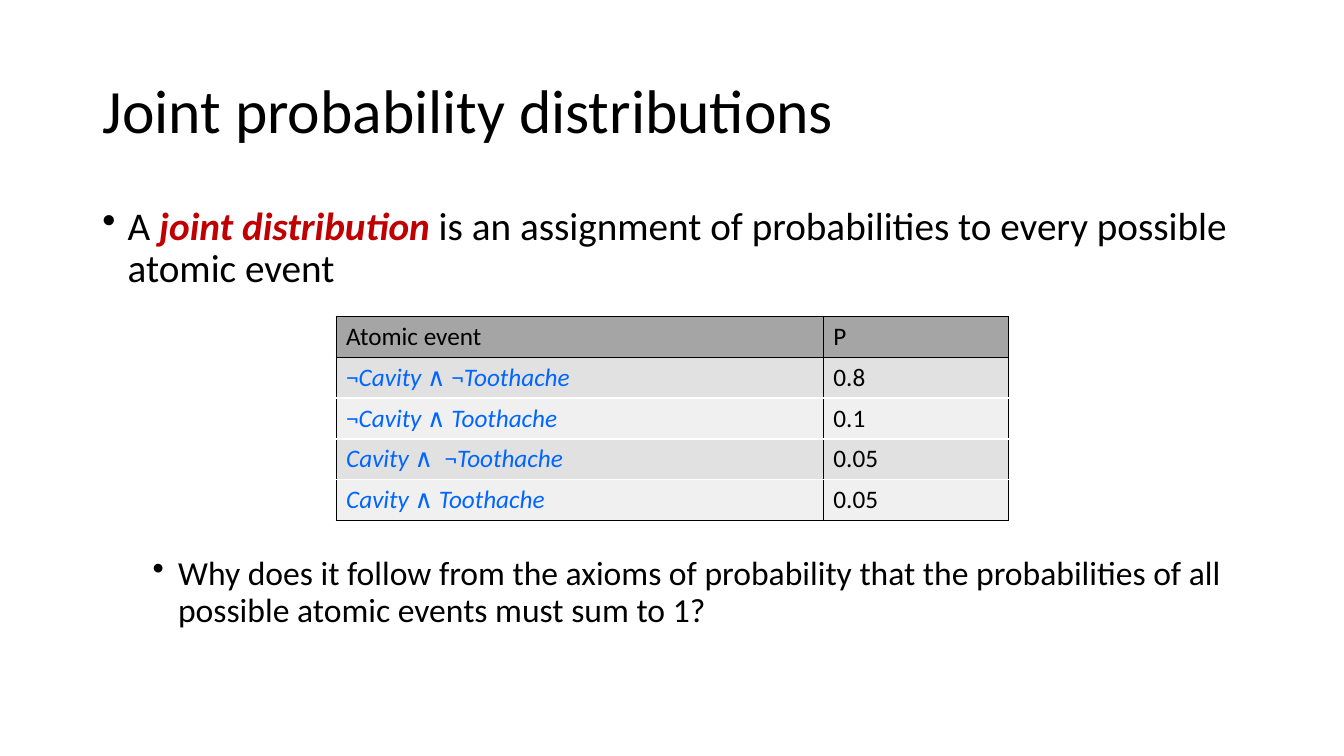
from dataclasses import dataclass
from itertools import groupby

from lxml import etree
from pptx import Presentation
from pptx.dml.color import RGBColor
from pptx.enum import text
from pptx.oxml import ns
from pptx.util import Cm, Pt


@dataclass(frozen=True)
class Theme:
    font: str = "Calibri"
    ink: str = "000000"
    term: str = "C00000"
    event: str = "0066FF"
    rule: str = "FFFFFF"
    header: str = "A5A5A5"
    bands: tuple = ("E1E1E1", "F0F0F0")
    title_size: int = 44
    body_size: int = 28
    sub_size: int = 24
    table_size: int = 18
    line_spacing: float = 0.9


class SlideBuilder:
    def __init__(self, deck, theme):
        self.theme = theme
        self.slide = deck.slides.add_slide(deck.slide_layouts[5])

    def set_font(self, target, size, color):
        target.font.name = self.theme.font
        target.font.size = Pt(size)
        target.font.color.rgb = RGBColor.from_string(color)

    def title(self, wording, left, top, width, height):
        heading = self.slide.shapes.title
        heading.left, heading.top = Cm(left), Cm(top)
        heading.width, heading.height = Cm(width), Cm(height)
        frame = heading.text_frame
        frame.text = wording
        frame.auto_size = text.MSO_AUTO_SIZE.NONE
        frame.vertical_anchor = text.MSO_ANCHOR.MIDDLE
        line = frame.paragraphs[0]
        line.alignment = text.PP_ALIGN.LEFT
        line.line_spacing = self.theme.line_spacing
        self.set_font(line, self.theme.title_size, self.theme.ink)

    def body(self, left, top, width, height):
        frame = self.slide.shapes.add_textbox(
            Cm(left), Cm(top), Cm(width), Cm(height)).text_frame
        frame.word_wrap = True
        return frame

    def bullet(self, point, runs, size, indent, space_before=0):
        """Fill a paragraph with (wording, is_term) runs; terms are stressed."""
        point.line_spacing = self.theme.line_spacing
        point.space_before = Pt(space_before)
        self.set_font(point, size, self.theme.ink)
        props = point._p.get_or_add_pPr()
        props.set("marL", str(Cm(indent)))
        props.set("indent", str(-Cm(0.64)))
        props.insert_element_before(
            props.makeelement(ns.qn("a:buChar"), {"char": "•"}), "a:defRPr")
        for wording, is_term in runs:
            run = point.add_run()
            run.text = wording
            if is_term:
                run.font.bold = run.font.italic = True
                run.font.color.rgb = RGBColor.from_string(self.theme.term)

    def borders(self, cell, top, bottom):
        sides = {"lnL": self.theme.ink, "lnR": self.theme.ink,
                 "lnT": top, "lnB": bottom}
        props = cell._tc.get_or_add_tcPr()
        for side, color in sides.items():
            line = etree.SubElement(props, ns.qn(f"a:{side}"), w=str(Pt(1)))
            fill = etree.SubElement(line, ns.qn("a:solidFill"))
            etree.SubElement(fill, ns.qn("a:srgbClr"), val=color)

    def event_table(self, rows, left, top, widths, row_height):
        """Draw a header and banded rows; event names are italic, symbols upright."""
        theme = self.theme
        table = self.slide.shapes.add_table(
            len(rows), len(widths), Cm(left), Cm(top),
            Cm(sum(widths)), Cm(row_height * len(rows))).table
        for column, width in zip(table.columns, widths):
            column.width = Cm(width)
        for r, row in enumerate(rows):
            table.rows[r].height = Cm(row_height)
            for c, wording in enumerate(row):
                cell = table.cell(r, c)
                self.borders(cell,
                             top=theme.ink if r < 2 else theme.rule,
                             bottom=theme.ink if r in (0, len(rows) - 1) else theme.rule)
                cell.fill.solid()
                cell.fill.fore_color.rgb = RGBColor.from_string(
                    theme.bands[(r - 1) % 2] if r else theme.header)
                is_event = r > 0 and c == 0
                line = cell.text_frame.paragraphs[0]
                self.set_font(line, theme.table_size,
                              theme.event if is_event else theme.ink)
                line.font.bold = False
                if not is_event:
                    line.add_run().text = wording
                    continue
                for is_name, letters in groupby(wording, str.isalpha):
                    run = line.add_run()
                    run.text = "".join(letters)
                    run.font.italic = is_name


def main():
    deck = Presentation()
    deck.slide_width, deck.slide_height = Cm(33.87), Cm(19.05)
    theme = Theme()
    page = SlideBuilder(deck, theme)

    page.title("Joint probability distributions", 2.33, 1.01, 29.21, 3.68)

    points = page.body(2.33, 5.07, 29.21, 12.09)
    page.bullet(points.paragraphs[0], [
        ("A ", False),
        ("joint distribution ", True),
        ("is an assignment of probabilities to every possible atomic event", False),
    ], theme.body_size, indent=0.64)
    page.bullet(points.add_paragraph(), [
        ("Why does it follow from the axioms of probability that the "
         "probabilities of all possible atomic events must sum to 1?", False),
    ], theme.sub_size, indent=1.91, space_before=190)

    page.event_table([
        ("Atomic event", "P"),
        ("¬Cavity ∧ ¬Toothache", "0.8"),
        ("¬Cavity ∧ Toothache", "0.1"),
        ("Cavity ∧  ¬Toothache", "0.05"),
        ("Cavity ∧ Toothache", "0.05"),
    ], left=8.47, top=7.97, widths=(12.28, 4.66), row_height=1.03)

    deck.save("out.pptx")


if __name__ == "__main__":
    main()
